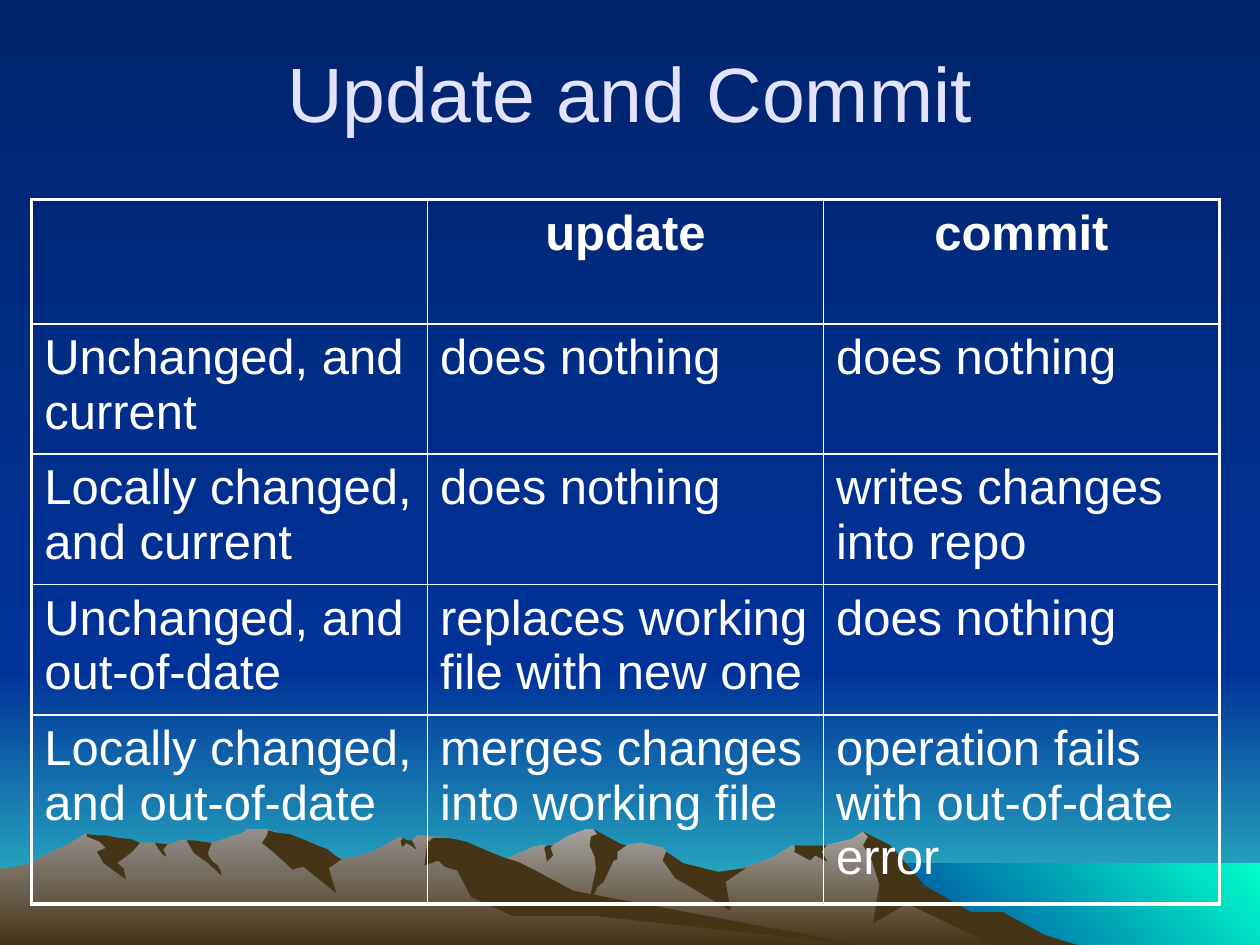
"""Builds the slide comparing update and commit over a mountain landscape."""
from lxml.etree import SubElement
from pptx import Presentation
from pptx.dml.color import RGBColor
from pptx.enum.shapes import MSO_SHAPE
from pptx.enum.text import MSO_ANCHOR, PP_ALIGN
from pptx.oxml.ns import qn
from pptx.util import Cm, Pt

WHITE, LILAC, EARTH = "FFFFFF", "E3E3FF", "463416"
NIGHT, BLUE, TEAL, AQUA = "00246D", "003399", "33CCCC", "00FFCC"
THIN, THICK = 1, 2.25


def rgb(value):
    return RGBColor.from_string(value)


class Landscape:
    """Holds the style and the current slide, and draws each kind of element."""

    font = "Arial"
    outline_unit = Cm(0.0254)

    def __init__(self, slide):
        self.slide = slide

    def paint(self, fill, colours, angle=270):
        if len(colours) == 1:
            fill.solid()
            fill.fore_color.rgb = rgb(colours[0])
            return
        fill.gradient()
        fill.gradient_angle = angle
        for stop, colour in zip(fill.gradient_stops, colours):
            stop.color.rgb = rgb(colour)

    def finish(self, shape, colours, angle=270):
        self.paint(shape.fill, colours, angle)
        shape.line.fill.background()
        shape.shadow.inherit = False

    def band(self, left, top, width, height, colours, angle=270):
        area = self.slide.shapes.add_shape(
            MSO_SHAPE.RECTANGLE, Cm(left), Cm(top), Cm(width), Cm(height))
        self.finish(area, colours, angle)

    def rock(self, outline, *colours):
        points = [tuple(map(int, pair.split(","))) for pair in outline.split()]
        builder = self.slide.shapes.build_freeform(*points[0], scale=self.outline_unit)
        builder.add_line_segments(points[1:], close=True)
        self.finish(builder.convert_to_shape(), colours)

    def set_text(self, frame, text, size, colour, centred=False, bold=False):
        frame.text = text
        paragraph = frame.paragraphs[0]
        paragraph.alignment = PP_ALIGN.CENTER if centred else PP_ALIGN.LEFT
        for run in paragraph.runs:
            run.font.name = self.font
            run.font.size = Pt(size)
            run.font.bold = bold
            run.font.color.rgb = rgb(colour)

    def title(self, text, left, top, width, height):
        frame = self.slide.shapes.add_textbox(
            Cm(left), Cm(top), Cm(width), Cm(height)).text_frame
        frame.word_wrap = True
        frame.vertical_anchor = MSO_ANCHOR.MIDDLE
        self.set_text(frame, text, 44, LILAC, centred=True)

    def border(self, cell, widths):
        properties = cell._tc.get_or_add_tcPr()
        for place, (side, width) in enumerate(widths.items()):
            line = SubElement(properties, qn(f"a:ln{side}"), w=str(Pt(width)))
            fill = SubElement(line, qn("a:solidFill"))
            SubElement(fill, qn("a:srgbClr"), val=WHITE)
            properties.insert(place, line)

    def table(self, rows, left, top, column_width, row_height):
        last_row, last_column = len(rows) - 1, len(rows[0]) - 1
        grid = self.slide.shapes.add_table(
            len(rows), len(rows[0]), Cm(left), Cm(top),
            Cm(column_width * len(rows[0])), Cm(row_height * len(rows))).table
        grid.first_row = grid.horz_banding = False
        for column in grid.columns:
            column.width = Cm(column_width)
        for r, texts in enumerate(rows):
            grid.rows[r].height = Cm(row_height)
            for c, text in enumerate(texts):
                cell = grid.cell(r, c)
                cell.fill.background()
                self.set_text(cell.text_frame, text, 28, WHITE, centred=r == 0, bold=r == 0)
                self.border(cell, {
                    "L": THICK if c == 0 else THIN,
                    "R": THICK if c == last_column else THIN,
                    "T": THICK if r == 0 else THIN,
                    "B": THICK if r == last_row else THIN})


RIGHT_RANGE = """802,740 778,727 764,723 723,698 702,671 685,660 676,666 656,671 629,671
    613,681 566,697 536,690 529,676 526,673 509,669 497,671 486,673 474,661 471,658 465,658
    450,664 444,668 438,671 430,671 424,672 418,675 412,677 405,681 399,683 394,685 355,698
    327,709 277,739 258,751 821,751"""
LEFT_RANGE = """690,751 667,748 432,712 354,665 331,663 327,668 323,668 318,664 296,676
    279,681 271,682 260,676 236,681 223,663 219,660 215,659 212,658 196,658 194,660 191,662
    186,663 178,666 168,669 160,671 148,667 143,667 132,671 128,671 123,669 111,669 94,671
    68,662 56,669 53,671 46,674 35,679 26,685 14,688 0,690 0,751"""
RIGHT_SHADOWS = [
    """796,724 771,724 734,703 707,671 685,660 689,664 685,671 691,680 698,702 693,733
    720,717 792,752 858,751 829,742""",
    """471,658 474,662 469,664 468,671 472,680 473,690 465,727 474,704 479,700 487,683
    490,682 490,676 497,671 493,670""",
    "529,676 528,678 526,683 536,697 580,723 576,700 592,689 570,692 542,685",
    "650,671 630,671 631,672 631,675 630,676 643,683 647,679 657,684 652,676 656,671",
    "433,677 432,673 434,671 438,671 439,670 437,673 439,679 434,684",
]
LEFT_SHADOWS = [
    """212,663 208,669 219,678 232,690 241,688 267,709 261,689 271,682 266,679 260,674
    252,671 238,665 230,662 220,661 213,659""",
    """370,668 361,666 354,665 344,665 339,669 337,687 348,683 353,688 363,691 374,712
    407,727 472,727 690,751 683,750 455,707 427,692 411,684 401,681 386,675""",
    """318,667 320,666 318,664 323,667 327,667 330,673 330,674 326,671 322,669 321,671
    319,672""",
    """154,667 161,668 168,669 165,677 166,680 169,684 173,687 175,691 176,695 165,685
    154,677 148,667""",
    "133,670 130,674 130,675 132,679 132,680 129,678 126,674 123,669",
    """109,668 111,669 105,676 93,685 98,689 100,698 82,685 77,676 84,673 79,668 69,664
    69,662 77,663 84,663 94,665 104,666""",
]
ROWS = [
    ("", "update", "commit"),
    ("Unchanged, and current", "does nothing", "does nothing"),
    ("Locally changed, and current", "does nothing", "writes changes into repo"),
    ("Unchanged, and out-of-date", "replaces working file with new one", "does nothing"),
    ("Locally changed, and out-of-date", "merges changes into working file",
     "operation fails with out-of-date error"),
]

deck = Presentation()
deck.slide_width, deck.slide_height = Cm(25.4), Cm(19.05)
scene = Landscape(deck.slides.add_slide(deck.slide_layouts[6]))
scene.paint(scene.slide.background.fill, (NIGHT, BLUE))
scene.band(0, 13.54, 25.4, 5.51, (BLUE, TEAL))
scene.band(0, 0, 25.4, 13.54, (NIGHT, BLUE))
scene.band(17.35, 17.4, 8.05, 1.7, (BLUE, AQUA), angle=45)
for mountains, light, shadows in (
        (RIGHT_RANGE, "A5A29F", RIGHT_SHADOWS), (LEFT_RANGE, "938F8B", LEFT_SHADOWS)):
    scene.rock(mountains, light, EARTH)
    for shadow in shadows:
        scene.rock(shadow, EARTH)
scene.title("Update and Commit", 1.27, 0.64, 22.86, 2.41)
scene.table(ROWS, 0.64, 4.02, 7.98, 2.51)
deck.save("out.pptx")
